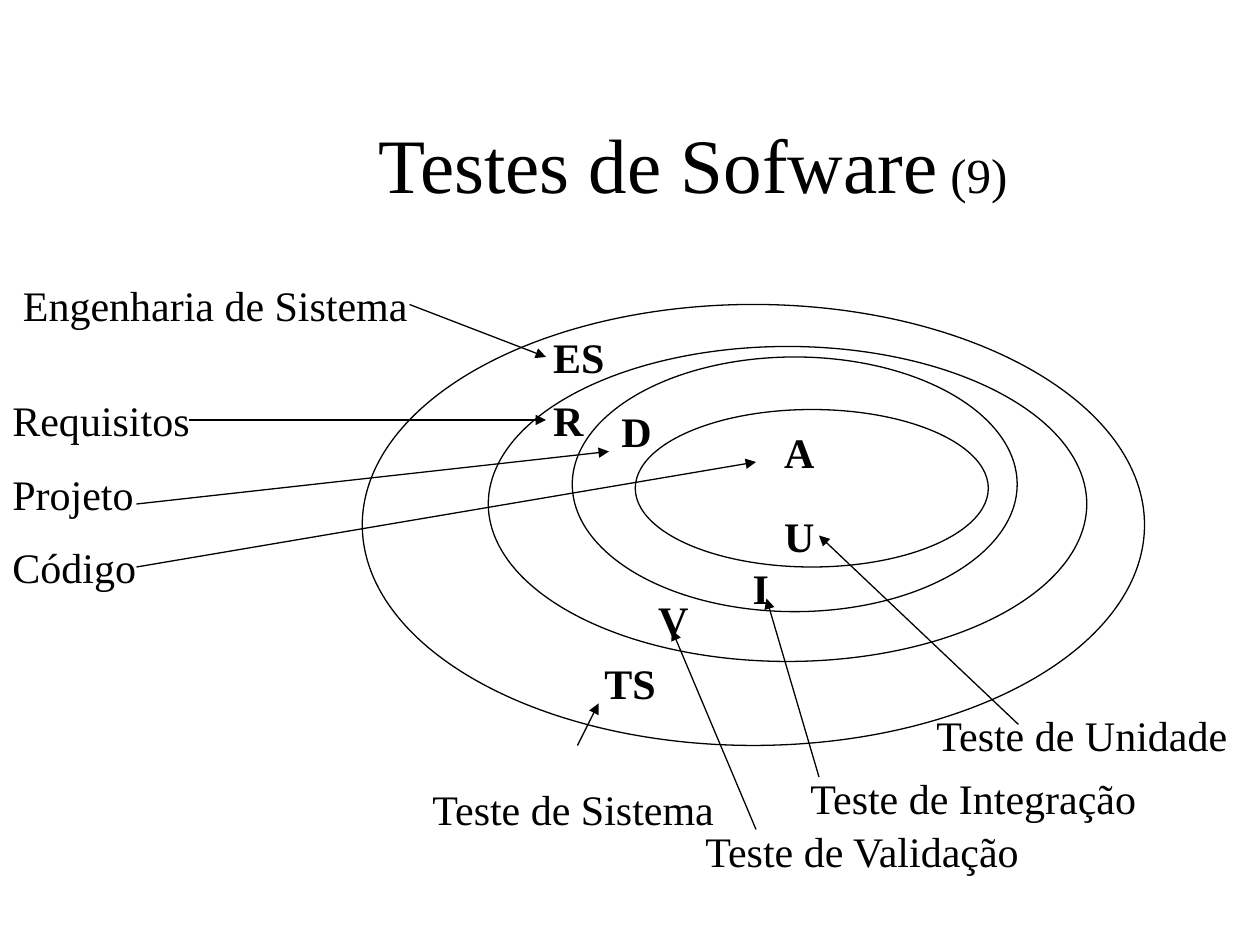
from dataclasses import dataclass

from lxml.etree import SubElement
from pptx import Presentation
from pptx.dml.color import RGBColor
from pptx.enum.shapes import MSO_CONNECTOR as Connector, MSO_SHAPE as Shape
from pptx.enum.text import MSO_ANCHOR as Anchor, PP_ALIGN as Align
from pptx.oxml.ns import qn
from pptx.util import Emu, Pt

PX = 9525  # EMU per px, 96 px to the inch


@dataclass(frozen=True)
class Theme:
    font: str = "Times New Roman"
    ink: RGBColor = RGBColor(0, 0, 0)
    title: int = 44
    number: int = 28
    body: int = 24
    line: float = 0.75


THEME = Theme()

# Nested development stages: left, top, width, height
RINGS = [
    (0, 0, 596, 336),     # system engineering
    (96, 32, 456, 240),   # requirements
    (160, 40, 339, 194),  # design
    (208, 80, 269, 120),  # code
]
MARKS = {
    "ES": (136, 16), "R": (136, 64), "D": (188, 72), "A": (312, 88),
    "U": (312, 152), "I": (288, 192), "V": (216, 216), "TS": (175, 264),
}
# Callouts: text, text corner, arrow start, arrow tip
STAGES = [
    ("Engenharia de Sistema", (8, 0), (312, 24), (416, 64)),
    ("Requisitos", (0, 88), (144, 112), (416, 112)),
    ("Projeto", (0, 144), (104, 176), (464, 136)),
    ("Código", (0, 200), (104, 224), (576, 144)),
]
TESTS = [
    ("Teste de Unidade", (384, 128), (456, 144), (304, 0)),
    ("Teste de Integração", (288, 176), (304, 184), (264, 48)),
    ("Teste de Validação", (208, 216), (256, 224), (192, 72)),
    ("Teste de Sistema", (0, 184), (120, 160), (136, 128)),
]


def px(*lengths):
    return [Emu(length * PX) for length in lengths]


def shift(origin, point):
    return origin[0] + point[0], origin[1] + point[1]


def add_text(slide, box, *runs, bold=False, align=Align.LEFT,
             anchor=Anchor.TOP, before=0):
    """Place one paragraph made of (text, size) runs."""
    frame = slide.shapes.add_textbox(*px(*box)).text_frame
    frame.word_wrap = True
    frame.vertical_anchor = anchor
    paragraph = frame.paragraphs[0]
    paragraph.alignment = align
    paragraph.space_before = Pt(before)
    for text, size in runs:
        run = paragraph.add_run()
        run.text = text
        run.font.name, run.font.size = THEME.font, Pt(size)
        run.font.bold = bold
        run.font.color.rgb = THEME.ink


def draw_line(line):
    line.color.rgb = THEME.ink
    line.width = Pt(THEME.line)


def add_arrow(slide, start, tip):
    arrow = slide.shapes.add_connector(Connector.STRAIGHT, *px(*start, *tip))
    draw_line(arrow.line)
    properties = arrow._element.spPr
    SubElement(properties.find(qn("a:ln")), qn("a:tailEnd"), type="triangle")
    SubElement(properties, qn("a:effectLst"))


def add_title(slide, box):
    add_text(slide, box, ("Testes de Sofware", THEME.title),
             (" (9)", THEME.number), align=Align.CENTER, anchor=Anchor.MIDDLE)


def add_rings(slide, origin):
    for left, top, width, height in RINGS:
        corner = shift(origin, (left, top))
        ring = slide.shapes.add_shape(Shape.OVAL, *px(*corner, width, height))
        ring.shadow.inherit = False
        ring.fill.background()
        draw_line(ring.line)
    for mark, corner in MARKS.items():
        add_text(slide, (*shift(origin, corner), 88, 48),
                 (mark, THEME.body), bold=True, before=15)


def add_callouts(slide, origin, callouts):
    for text, corner, start, tip in callouts:
        add_text(slide, (*shift(origin, corner), 360, 48),
                 (text, THEME.body), before=15)
        add_arrow(slide, shift(origin, start), shift(origin, tip))


def main():
    deck = Presentation()
    deck.slide_width, deck.slide_height = px(960, 720)
    slide = deck.slides.add_slide(deck.slide_layouts[6])
    add_rings(slide, (276, 232))
    add_callouts(slide, (0, 208), STAGES)
    add_callouts(slide, (320, 408), TESTS)
    add_title(slide, (120, 64, 816, 120))
    deck.save("out.pptx")


if __name__ == "__main__":
    main()
